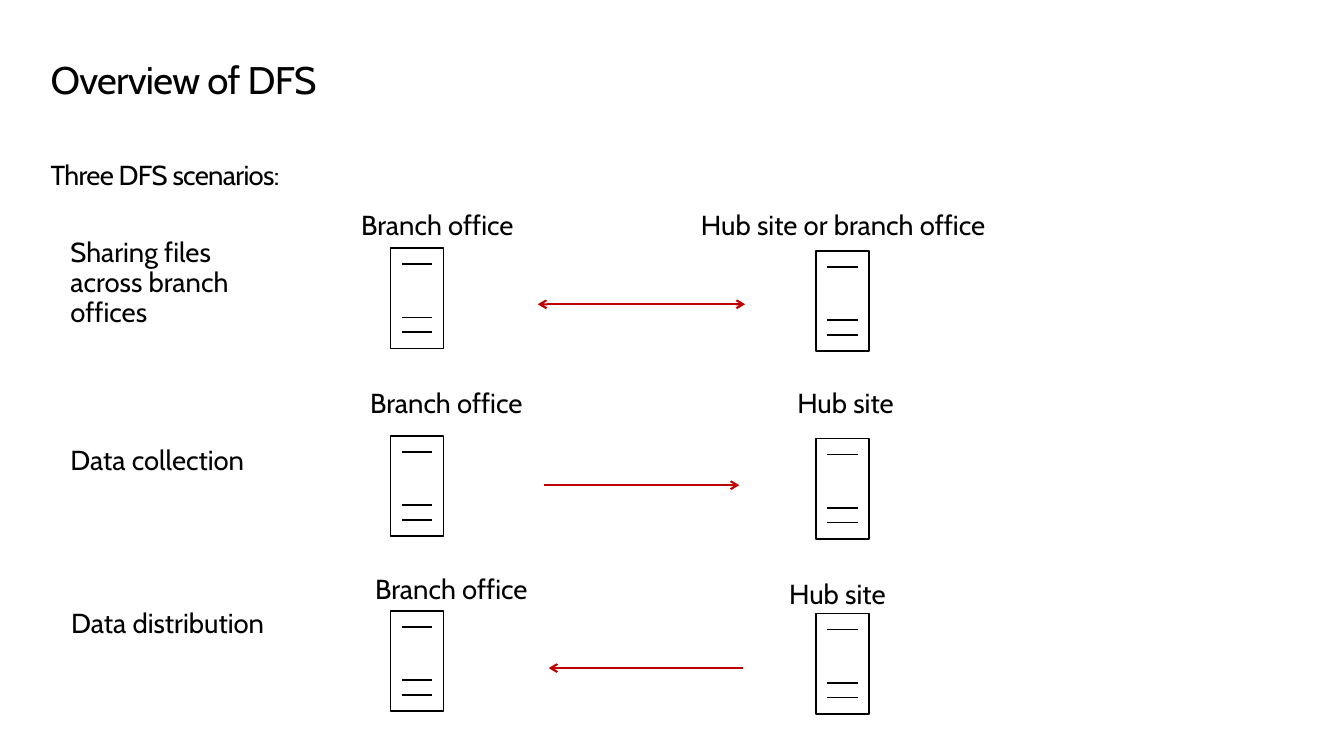
from lxml import etree
from pptx import Presentation
from pptx.dml.color import RGBColor
from pptx.enum.shapes import MSO_CONNECTOR
from pptx.enum.text import MSO_ANCHOR, MSO_AUTO_SIZE, PP_ALIGN
from pptx.oxml.ns import qn
from pptx.util import Cm, Pt

STRAIGHT = MSO_CONNECTOR.STRAIGHT
TOP = MSO_ANCHOR.TOP
NO_AUTOFIT = MSO_AUTO_SIZE.NONE
LEFT, CENTER = PP_ALIGN.LEFT, PP_ALIGN.CENTER

FONT = "Cabin"
COLORS = {"text": "000000", "outline": "000000", "server": "FFFFFF", "arrow": "C00000"}

TITLE = "Overview of DFS"
INTRO = "Three DFS scenarios:"

# Boxes are (left, top, width, height) in centimetres.
# Arrows are (start x, end x, y, arrow ends).
SCENARIOS = [
    {
        "name": ("Sharing files across branch offices", (1.3, 5.74, 6.48, 3.12)),
        "sites": [
            ("Branch office", (8.94, 5.21, 4.6, 1.12)),
            ("Hub site or branch office", (17.53, 5.21, 8.28, 1.12)),
        ],
        "server_top": 6.38,
        "arrow": (13.82, 19.15, 7.82, ("headEnd", "tailEnd")),
    },
    {
        "name": ("Data collection", (1.3, 11.07, 6.93, 1.6)),
        "sites": [
            ("Branch office", (9.17, 9.8, 4.6, 1.12)),
            ("Hub site", (20.17, 9.8, 3.12, 1.12)),
        ],
        "server_top": 11.2,
        "arrow": (13.97, 19, 12.47, ("tailEnd",)),
    },
    {
        "name": ("Data distribution", (1.32, 15.27, 6.93, 1.6)),
        "sites": [
            ("Branch office", (9.3, 14.58, 4.6, 1.12)),
            ("Hub site", (19.96, 14.71, 3.12, 1.12)),
        ],
        "server_top": 15.7,
        "arrow": (19.1, 14.1, 17.17, ("tailEnd",)),
    },
]

BRANCH_SERVER_LEFT, HUB_SERVER_LEFT = 10.04, 20.97
HUB_SERVER_DROP = 0.07
SERVER_WIDTH, SERVER_HEIGHT = 1.36, 2.58
SLOT_START, SLOT_END = 0.29, 1.07
SLOT_HEIGHTS = (0.41, 1.78, 2.16)


def color(name):
    return RGBColor.from_string(COLORS[name])


def write(shape, text, size, margins, wrap=True, alignment=LEFT):
    """Fill the shape with one paragraph and return that paragraph."""
    frame = shape.text_frame
    frame.auto_size = NO_AUTOFIT
    frame.word_wrap = wrap
    frame.vertical_anchor = TOP
    frame.margin_left, frame.margin_top, frame.margin_right, frame.margin_bottom = map(Cm, margins)
    paragraph = frame.paragraphs[0]
    paragraph.alignment = alignment
    paragraph.space_before = Pt(0)
    run = paragraph.add_run()
    run.text = text
    run.font.name = FONT
    run.font.size = Pt(size)
    run.font.color.rgb = color("text")
    return paragraph


def tighten(paragraph):
    """Set the letters half a point closer."""
    for run in paragraph.runs:
        run.font._element.set("spc", "-50")


def place(shape, box):
    shape.left, shape.top, shape.width, shape.height = map(Cm, box)


def add_label(slide, text, box, margins, **options):
    shape = slide.shapes.add_textbox(*map(Cm, box))
    return write(shape, text, 20, margins, **options)


def add_server(slide, left, top):
    right, bottom = left + SERVER_WIDTH, top + SERVER_HEIGHT
    builder = slide.shapes.build_freeform(Cm(left), Cm(top))
    corners = [(right, top), (right, bottom), (left, bottom)]
    builder.add_line_segments([(Cm(x), Cm(y)) for x, y in corners], close=True)
    for height in SLOT_HEIGHTS:
        y = Cm(top + height)
        builder.move_to(Cm(left + SLOT_START), y)
        builder.add_line_segments([(Cm(left + SLOT_END), y)], close=False)
    server = builder.convert_to_shape()
    server.shadow.inherit = False
    server.fill.solid()
    server.fill.fore_color.rgb = color("server")
    server.line.color.rgb = color("outline")
    server.line.width = Pt(1.25)


def add_arrow(slide, start, end, y, arrow_ends):
    arrow = slide.shapes.add_connector(STRAIGHT, Cm(start), Cm(y), Cm(end), Cm(y))
    arrow.line.color.rgb = color("arrow")
    arrow.line.width = Pt(1.5)
    line = arrow.line._get_or_add_ln()
    for arrow_end in arrow_ends:
        etree.SubElement(line, qn(f"a:{arrow_end}"), type="arrow")
    etree.SubElement(arrow._element.spPr, qn("a:effectLst"))


def main():
    presentation = Presentation()
    presentation.slide_width, presentation.slide_height = Cm(34.54), Cm(19.43)
    slide = presentation.slides.add_slide(presentation.slide_layouts[1])

    title = slide.shapes.title
    place(title, (1.3, 1.57, 32.03, 1.14))
    paragraph = write(title, TITLE, 28, (0, 0, 0.25, 0))
    paragraph.line_spacing = 0.9
    tighten(paragraph)

    body = slide.placeholders[1]
    place(body, (1.3, 4.06, 32.05, 14.12))
    properties = body.text_frame.paragraphs[0]._p.get_or_add_pPr()
    properties.set("marL", "0")
    properties.set("indent", "0")
    etree.SubElement(properties, qn("a:buNone"))
    tighten(write(body, INTRO, 20, (0, 0, 0.25, 0.13)))

    for scenario in SCENARIOS:
        for text, box in scenario["sites"]:
            add_label(slide, text, box, (0.25, 0.13, 0.25, 0.13), wrap=False, alignment=CENTER)
        add_arrow(slide, *scenario["arrow"])
        add_server(slide, HUB_SERVER_LEFT, scenario["server_top"] + HUB_SERVER_DROP)
        add_server(slide, BRANCH_SERVER_LEFT, scenario["server_top"])
        paragraph = add_label(slide, *scenario["name"], (0.51, 0.41, 0.51, 0.41))
        paragraph.line_spacing = 0.9
        paragraph.space_after = Pt(6)

    presentation.save("out.pptx")


if __name__ == "__main__":
    main()
